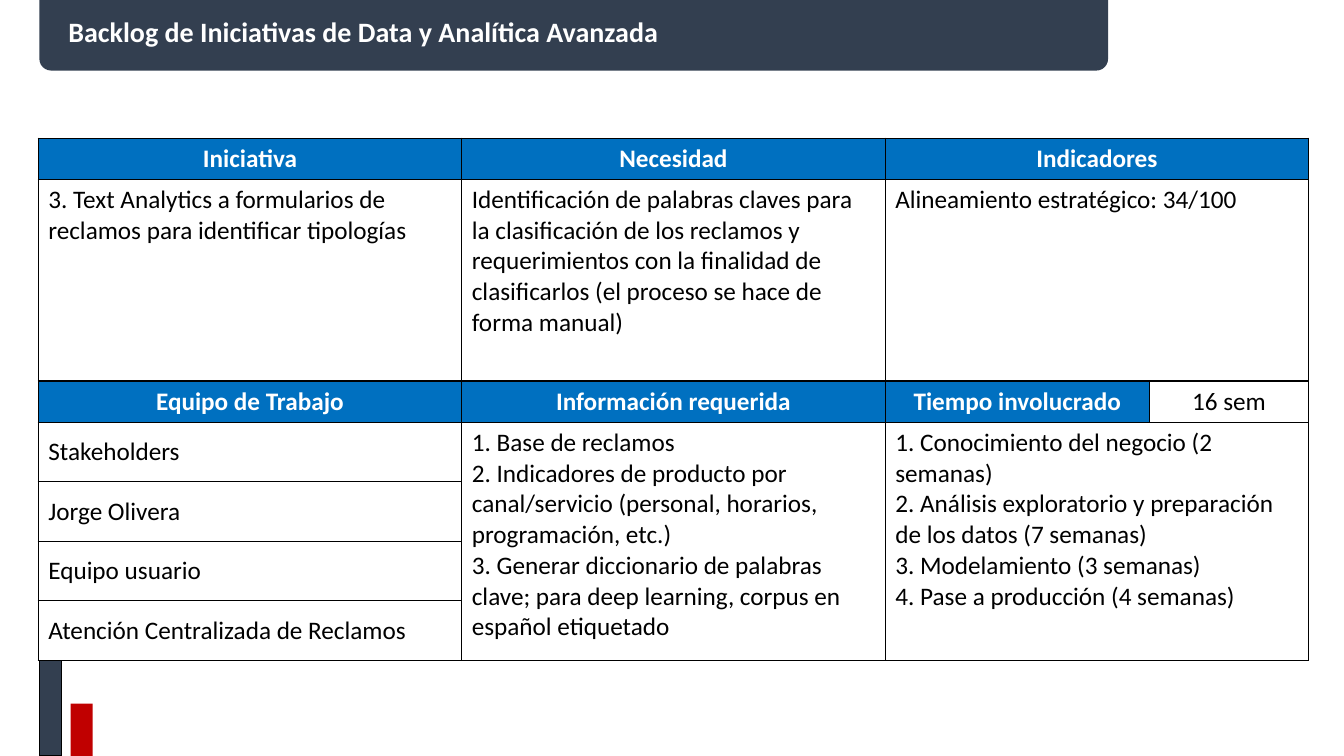
"""Build the backlog slide for one data and analytics initiative."""
from lxml.etree import SubElement
from pptx import Presentation
from pptx.dml.color import RGBColor
from pptx.enum.shapes import MSO_SHAPE
from pptx.enum.text import MSO_ANCHOR, PP_ALIGN
from pptx.oxml.ns import qn
from pptx.util import Inches, Pt

COLORS = {"navy": "333F50", "red": "C00000", "blue": "0070C0", "white": "FFFFFF", "black": "000000"}
FONT = "Calibri"
SLIDE_SIZE = (13.33, 7.5)
TITLE = "Backlog de Iniciativas de Data y Analítica Avanzada"
TITLE_AREA = (0.58, 0.11, 10.28, 0.45)
BANNER = (0.39, 0, 10.6, 0.7)
BARS = [
    ((0.39, 6.5, 0.22, 1), "navy", "black"),
    ((0.7, 6.98, 0.22, 0.52), "red", None),
]
TABLE_ORIGIN = (0.38, 1.37)
COLUMNS = [4.2, 4.2, 2.62, 1.58]
ROWS = [0.41, 2, 0.41] + [0.59] * 4
MERGES = [((0, 2), (0, 3)), ((1, 2), (1, 3)), ((3, 1), (6, 1)), ((3, 2), (6, 3))]

HEADERS = {
    (0, 0): "Iniciativa",
    (0, 1): "Necesidad",
    (0, 2): "Indicadores",
    (2, 0): "Equipo de Trabajo",
    (2, 1): "Información requerida",
    (2, 2): "Tiempo involucrado",
}
DETAILS = {
    (1, 0): ["3. Text Analytics a formularios de reclamos para identificar tipologías"],
    (1, 1): ["Identificación de palabras claves para la clasificación de los reclamos y "
             "requerimientos con la finalidad de clasificarlos (el proceso se hace de forma manual)"],
    (1, 2): ["Alineamiento estratégico: 34/100"],
    (3, 1): [
        "1. Base de reclamos",
        "2. Indicadores de producto por canal/servicio (personal, horarios, programación, etc.)",
        "3. Generar diccionario de palabras clave; para deep learning, corpus en español etiquetado",
    ],
    (3, 2): [
        "1. Conocimiento del negocio (2 semanas)",
        "2. Análisis exploratorio y preparación de los datos (7 semanas)",
        "3. Modelamiento (3 semanas)",
        "4. Pase a producción (4 semanas)",
    ],
}
DURATION = "16 sem"
TEAM = ["Stakeholders", "Jorge Olivera", "Equipo usuario", "Atención Centralizada de Reclamos"]


def color(name):
    return RGBColor.from_string(COLORS[name])


def inches(lengths):
    return [Inches(length) for length in lengths]


def add_block(page, kind, area, fill, line=None):
    block = page.shapes.add_shape(kind, *inches(area))
    block.shadow.inherit = False
    block.fill.solid()
    block.fill.fore_color.rgb = color(fill)
    if line:
        block.line.color.rgb = color(line)
        block.line.width = Pt(1)
    else:
        block.line.fill.background()
    return block


def write(frame, lines, size, ink, bold=False, align=PP_ALIGN.LEFT):
    for index, line in enumerate(lines):
        para = frame.add_paragraph() if index else frame.paragraphs[0]
        para.alignment = align
        span = para.add_run()
        span.text = line
        span.font.name = FONT
        span.font.size = Pt(size)
        span.font.bold = bold
        span.font.color.rgb = color(ink)


def add_borders(cell):
    properties = cell._tc.get_or_add_tcPr()
    for side in ("lnL", "lnR", "lnT", "lnB"):
        border = SubElement(properties, qn(f"a:{side}"), w=str(Pt(1)))
        SubElement(SubElement(border, qn("a:solidFill")), qn("a:srgbClr"), val=COLORS["black"])


def add_title(page):
    box = page.shapes.add_textbox(*inches(TITLE_AREA))
    frame = box.text_frame
    frame.word_wrap = True
    frame.vertical_anchor = MSO_ANCHOR.MIDDLE
    write(frame, [TITLE], 20, "white", bold=True)
    frame.paragraphs[0].line_spacing = 0.9


def add_backlog(page):
    area = (*TABLE_ORIGIN, sum(COLUMNS), sum(ROWS))
    table = page.shapes.add_table(len(ROWS), len(COLUMNS), *inches(area)).table
    table.first_row = table.horz_banding = False
    for column, width in zip(table.columns, inches(COLUMNS)):
        column.width = width
    for row, height in zip(table.rows, inches(ROWS)):
        row.height = height
    for cell in table.iter_cells():
        add_borders(cell)
        cell.fill.background()
    for start, end in MERGES:
        table.cell(*start).merge(table.cell(*end))
    for place, text in HEADERS.items():
        cell = table.cell(*place)
        cell.fill.solid()
        cell.fill.fore_color.rgb = color("blue")
        write(cell.text_frame, [text], 18, "white", bold=True, align=PP_ALIGN.CENTER)
    for place, lines in DETAILS.items():
        write(table.cell(*place).text_frame, lines, 18, "black")
    write(table.cell(2, 3).text_frame, [DURATION], 18, "black", align=PP_ALIGN.CENTER)
    for row, member in enumerate(TEAM, start=3):
        cell = table.cell(row, 0)
        cell.vertical_anchor = MSO_ANCHOR.MIDDLE
        write(cell.text_frame, [member], 18, "black")
    cell.fill.solid()
    cell.fill.fore_color.rgb = color("white")


def main():
    deck = Presentation()
    deck.slide_width, deck.slide_height = inches(SLIDE_SIZE)
    page = deck.slides.add_slide(deck.slide_layouts[6])
    add_block(page, MSO_SHAPE.ROUND_2_SAME_RECTANGLE, BANNER, "navy").rotation = 180
    for area, fill, line in BARS:
        add_block(page, MSO_SHAPE.RECTANGLE, area, fill, line)
    add_title(page)
    add_backlog(page)
    deck.save("out.pptx")


if __name__ == "__main__":
    main()
